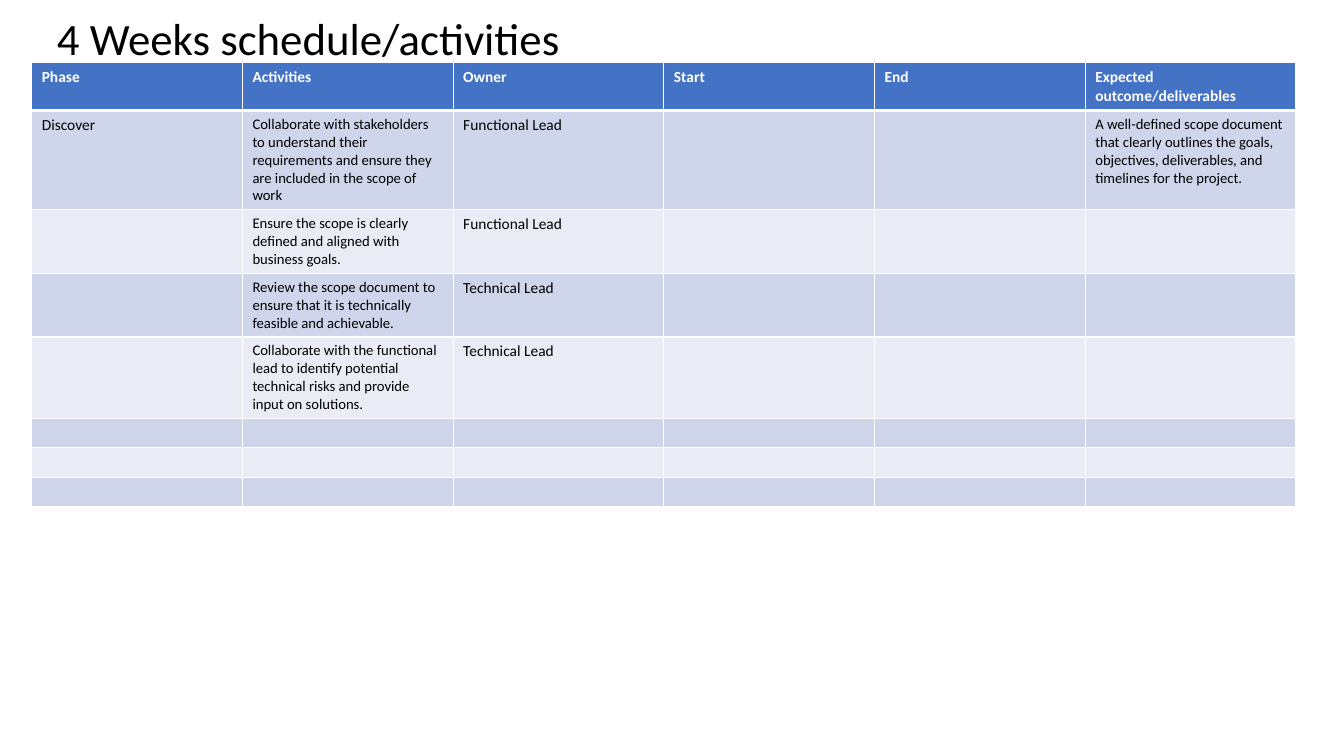
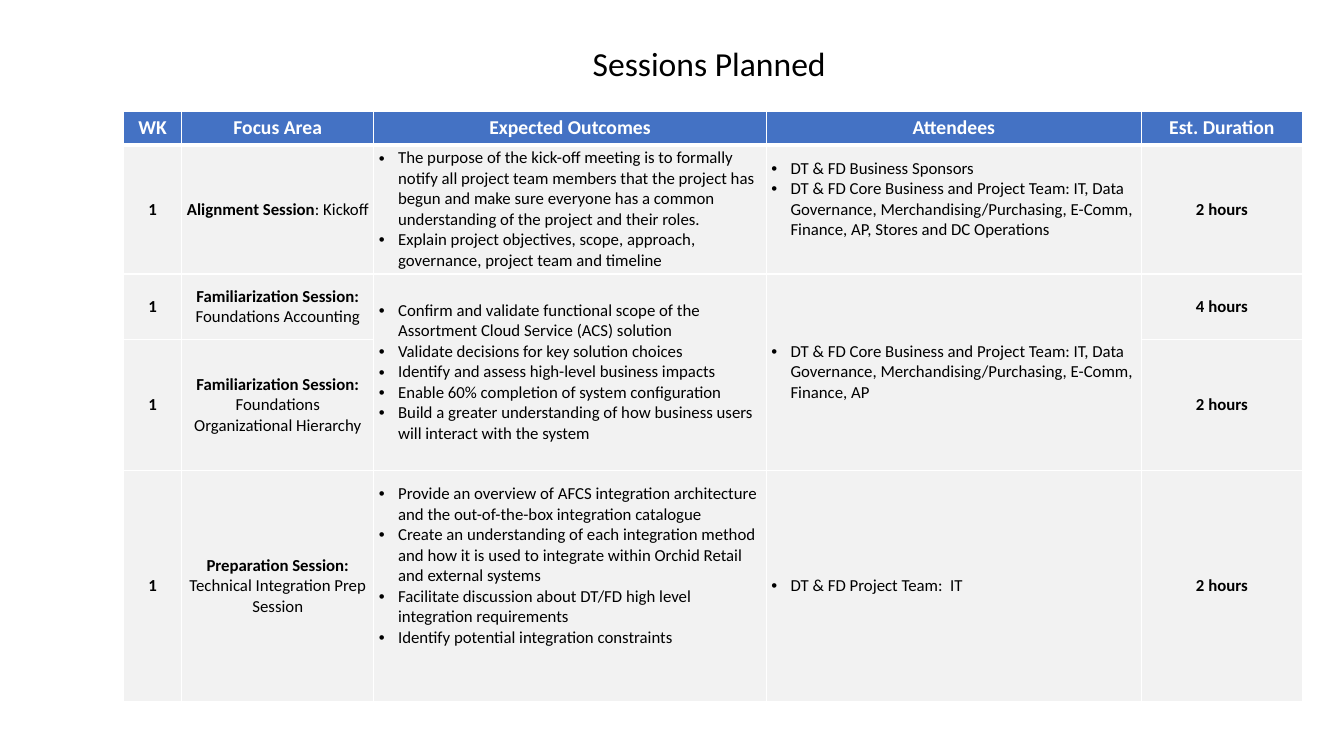
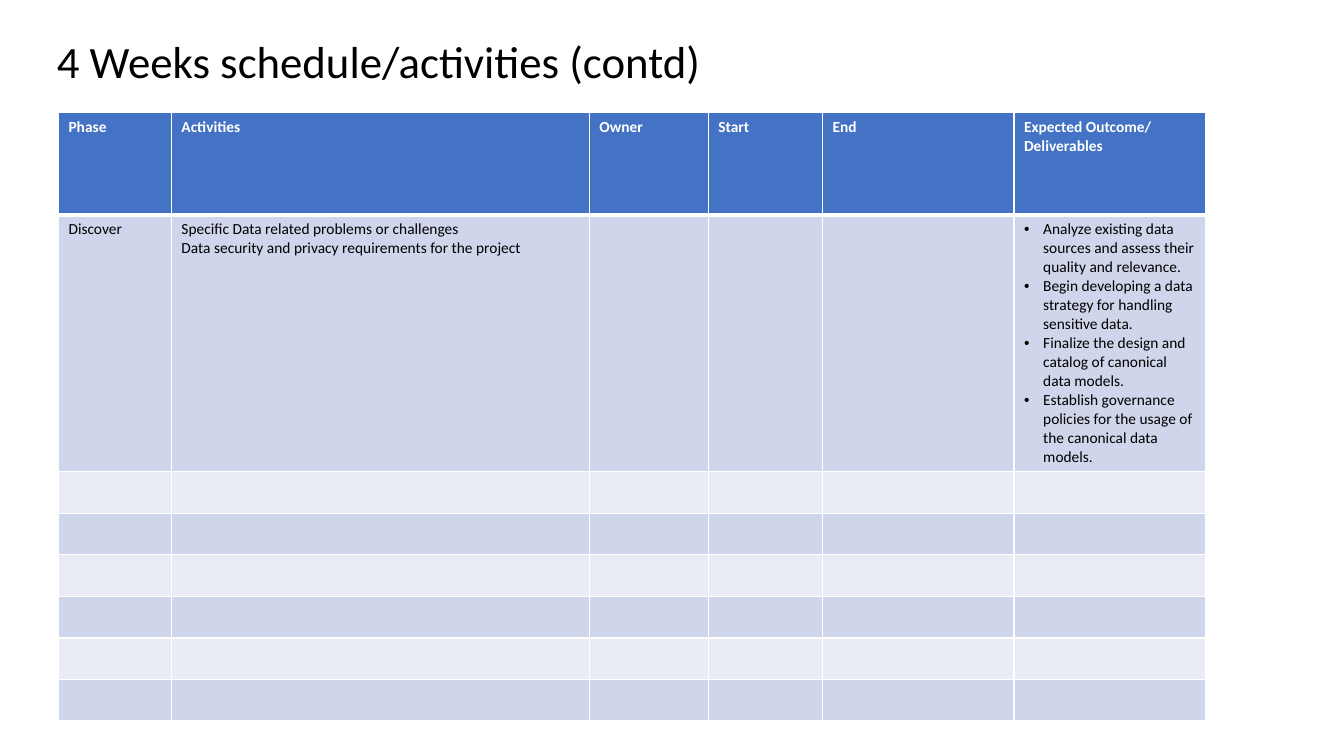
from dataclasses import dataclass

from lxml import etree
from pptx import Presentation
from pptx.dml.color import RGBColor
from pptx.enum.text import MSO_ANCHOR, PP_ALIGN
from pptx.oxml.ns import qn
from pptx.util import Inches, Pt

CENTER, LEFT = PP_ALIGN.CENTER, PP_ALIGN.LEFT
MIDDLE, TOP = MSO_ANCHOR.MIDDLE, MSO_ANCHOR.TOP
BLANK_LAYOUT = 6


@dataclass(frozen=True)
class Theme:
    font: str = "Calibri"
    text: str = "000000"
    white: str = "FFFFFF"
    header: str = "4472C4"
    bands: tuple = ("CFD5EA", "E9EBF5")
    plain: tuple = ("F2F2F2", "F2F2F2")
    schedule_title: float = 32
    sessions_title: float = 24
    schedule_size: float = 11
    activity_size: float = 10.5
    sessions_header: float = 14
    sessions_size: float = 12
    indent: float = 0.19
    thin: float = 1
    thick: float = 3


THEME = Theme()

# Areas, columns and rows are percentages of the slide's width or height.
# In a cell, a newline starts a paragraph, "• " makes a bullet,
# and the words before "|" are bold.
SLIDES = [
    dict(
        title="4 Weeks schedule/activities", title_size=THEME.schedule_title,
        title_area=(3.5, 0, 81, 10.93), centered=False,
        origin=(2.36, 8.27), columns=[15.68] * 6,
        rows=[6.13, 13.07, 8.4, 8.4, 10.8] + [3.87] * 3,
        header_size=THEME.schedule_size, body_size=THEME.schedule_size,
        column_sizes={1: THEME.activity_size, 5: THEME.activity_size},
        fills=THEME.bands, merges=[], bottom_insets={},
        cells=[
            ["Phase", "Activities", "Owner", "Start", "End", "Expected outcome/deliverables"],
            ["Discover",
             "Collaborate with stakeholders to understand their requirements and ensure "
             "they are included in the scope of work",
             "Functional Lead", "", "",
             "A well-defined scope document that clearly outlines the goals, objectives, "
             "deliverables, and timelines for the project."],
            ["", "Ensure the scope is clearly defined and aligned with business goals.",
             "Functional Lead"],
            ["", "Review the scope document to ensure that it is technically feasible and achievable.",
             "Technical Lead"],
            ["", "Collaborate with the functional lead to identify potential technical risks "
             "and provide input on solutions.", "Technical Lead"],
        ],
    ),
    dict(
        title="Sessions Planned", title_size=THEME.sessions_title,
        title_area=(9.17, 5.2, 87.2, 7.07), centered=True,
        origin=(9.19, 14.67), columns=[4.33, 14.3, 29.2, 27.9, 12],
        rows=[4.5, 17.07, 8.67, 17.33, 30.53],
        header_size=THEME.sessions_header, body_size=THEME.sessions_size,
        column_sizes={}, fills=THEME.plain,
        merges=[((2, 2), (3, 2)), ((2, 3), (3, 3))],
        bottom_insets={(1, 3): 0.23, (4, 2): 0.43},
        cells=[
            ["WK", "Focus Area", "Expected Outcomes", "Attendees", "Est. Duration"],
            ["1|", "Alignment Session|: Kickoff",
             "• The purpose of the kick-off meeting is to formally notify all project team "
             "members that the project has begun and make sure everyone has a common "
             "understanding of the project and their roles.\n"
             "• Explain project objectives, scope, approach, governance, project team and timeline",
             "• DT & FD Business Sponsors\n"
             "• DT & FD Core Business and Project Team: IT, Data Governance, "
             "Merchandising/Purchasing, E-Comm, Finance, AP, Stores and DC Operations",
             "2 hours|"],
            ["1|", "Familiarization Session: |Foundations Accounting",
             "• Confirm and validate functional scope of the Assortment Cloud Service (ACS) solution\n"
             "• Validate decisions for key solution choices\n"
             "• Identify and assess high-level business impacts\n"
             "• Enable 60% completion of system configuration\n"
             "• Build a greater understanding of how business users will interact with the system",
             "• DT & FD Core Business and Project Team: IT, Data Governance, "
             "Merchandising/Purchasing, E-Comm, Finance, AP",
             "4 hours|"],
            ["1|", "Familiarization Session: |Foundations Organizational Hierarchy", "", "",
             "2 hours|"],
            ["1|", "Preparation Session: |Technical Integration Prep Session",
             "• Provide an overview of AFCS integration architecture and the out-of-the-box "
             "integration catalogue\n"
             "• Create an understanding of each integration method and how it is used to "
             "integrate within Orchid Retail and external systems\n"
             "• Facilitate discussion about DT/FD high level integration requirements\n"
             "• Identify potential integration constraints",
             "• DT & FD Project Team:  IT", "2 hours|"],
        ],
    ),
    dict(
        title="4 Weeks schedule/activities (contd)", title_size=THEME.schedule_title,
        title_area=(3.5, 0, 90.3, 16.93), centered=False,
        origin=(4.35, 14.93), columns=[8.4, 31.1, 8.85, 8.5, 14.25, 14.25],
        rows=[13.47, 34] + [5.5] * 6,
        header_size=THEME.schedule_size, body_size=THEME.schedule_size,
        column_sizes={}, fills=THEME.bands, merges=[], bottom_insets={},
        cells=[
            ["Phase", "Activities", "Owner", "Start", "End", "Expected Outcome/\nDeliverables"],
            ["Discover",
             "Specific Data related problems or challenges\n"
             "Data security and privacy requirements for the project",
             "", "", "",
             "• Analyze existing data sources and assess their quality and relevance.\n"
             "• Begin developing a data strategy for handling sensitive data.\n"
             "• Finalize the design and catalog of canonical data models.\n"
             "• Establish governance policies for the usage of the canonical data models."],
        ],
    ),
]


def write_text(text_frame, text, size, color, bold, align):
    """Write paragraphs with their bullets and bold lead words."""
    for index, line in enumerate(text.split("\n")):
        paragraph = text_frame.paragraphs[0] if index == 0 else text_frame.add_paragraph()
        bulleted = line.startswith("• ")
        paragraph.alignment = LEFT if bulleted else align
        if bulleted:
            properties = paragraph._p.get_or_add_pPr()
            properties.set("marL", str(Inches(THEME.indent)))
            properties.set("indent", str(-Inches(THEME.indent)))
            etree.SubElement(properties, qn("a:buFont"), typeface="Arial")
            etree.SubElement(properties, qn("a:buChar"), char="•")
        lead, _, rest = line.removeprefix("• ").rpartition("|")
        for words, is_bold in ((lead, True), (rest, bold)):
            if words:
                run = paragraph.add_run()
                run.text = words
                run.font.name = THEME.font
                run.font.size = Pt(size)
                run.font.bold = is_bold
                run.font.color.rgb = RGBColor.from_string(color)
        if not line:
            etree.SubElement(paragraph._p, qn("a:endParaRPr"), sz=str(int(size * 100)))


def set_borders(cell, top, bottom):
    properties = cell._tc.get_or_add_tcPr()
    widths = {"a:lnL": THEME.thin, "a:lnR": THEME.thin, "a:lnT": top, "a:lnB": bottom}
    for position, (side, width) in enumerate(widths.items()):
        line = etree.Element(qn(side), w=str(Pt(width)))
        fill = etree.SubElement(line, qn("a:solidFill"))
        etree.SubElement(fill, qn("a:srgbClr"), val=THEME.white)
        properties.insert(position, line)


presentation = Presentation()
presentation.slide_width = Inches(13.33)
presentation.slide_height = Inches(7.5)
across = presentation.slide_width / 100
down = presentation.slide_height / 100

for content in SLIDES:
    slide = presentation.slides.add_slide(presentation.slide_layouts[BLANK_LAYOUT])
    align = CENTER if content["centered"] else LEFT

    columns, rows = content["columns"], content["rows"]
    left, top = content["origin"]
    table = slide.shapes.add_table(
        len(rows), len(columns), int(left * across), int(top * down),
        int(sum(columns) * across), int(sum(rows) * down)).table
    table.horz_banding = False
    for column, share in zip(table.columns, columns):
        column.width = int(share * across)
    for row, share in zip(table.rows, rows):
        row.height = int(share * down)
    for first, last in content["merges"]:
        table.cell(*first).merge(table.cell(*last))

    for row_index in range(len(rows)):
        is_header = row_index == 0
        texts = content["cells"][row_index] if row_index < len(content["cells"]) else []
        for column_index in range(len(columns)):
            cell = table.cell(row_index, column_index)
            cell.fill.solid()
            fill = THEME.header if is_header else content["fills"][(row_index - 1) % 2]
            cell.fill.fore_color.rgb = RGBColor.from_string(fill)
            set_borders(cell, THEME.thick if row_index == 1 else THEME.thin,
                        THEME.thick if is_header else THEME.thin)
            cell.vertical_anchor = MIDDLE if content["centered"] else TOP
            if content["centered"] and not is_header:
                cell.margin_left = cell.margin_right = Inches(0.05)
                cell.margin_top = Inches(0.03)
                cell.margin_bottom = Inches(
                    content["bottom_insets"].get((row_index, column_index), 0.03))
            text = texts[column_index] if column_index < len(texts) else ""
            size = content["column_sizes"].get(column_index, content["body_size"])
            if is_header or not text:
                size = content["header_size"] if is_header else content["body_size"]
            write_text(cell.text_frame, text, size,
                       THEME.white if is_header else THEME.text, is_header, align)

    left, top, width, height = content["title_area"]
    title = slide.shapes.add_textbox(
        int(left * across), int(top * down), int(width * across), int(height * down))
    title.text_frame.word_wrap = True
    title.text_frame.vertical_anchor = MIDDLE
    write_text(title.text_frame, content["title"], content["title_size"],
               THEME.text, False, align)
    title.text_frame.paragraphs[0].line_spacing = 0.9

presentation.save("out.pptx")
